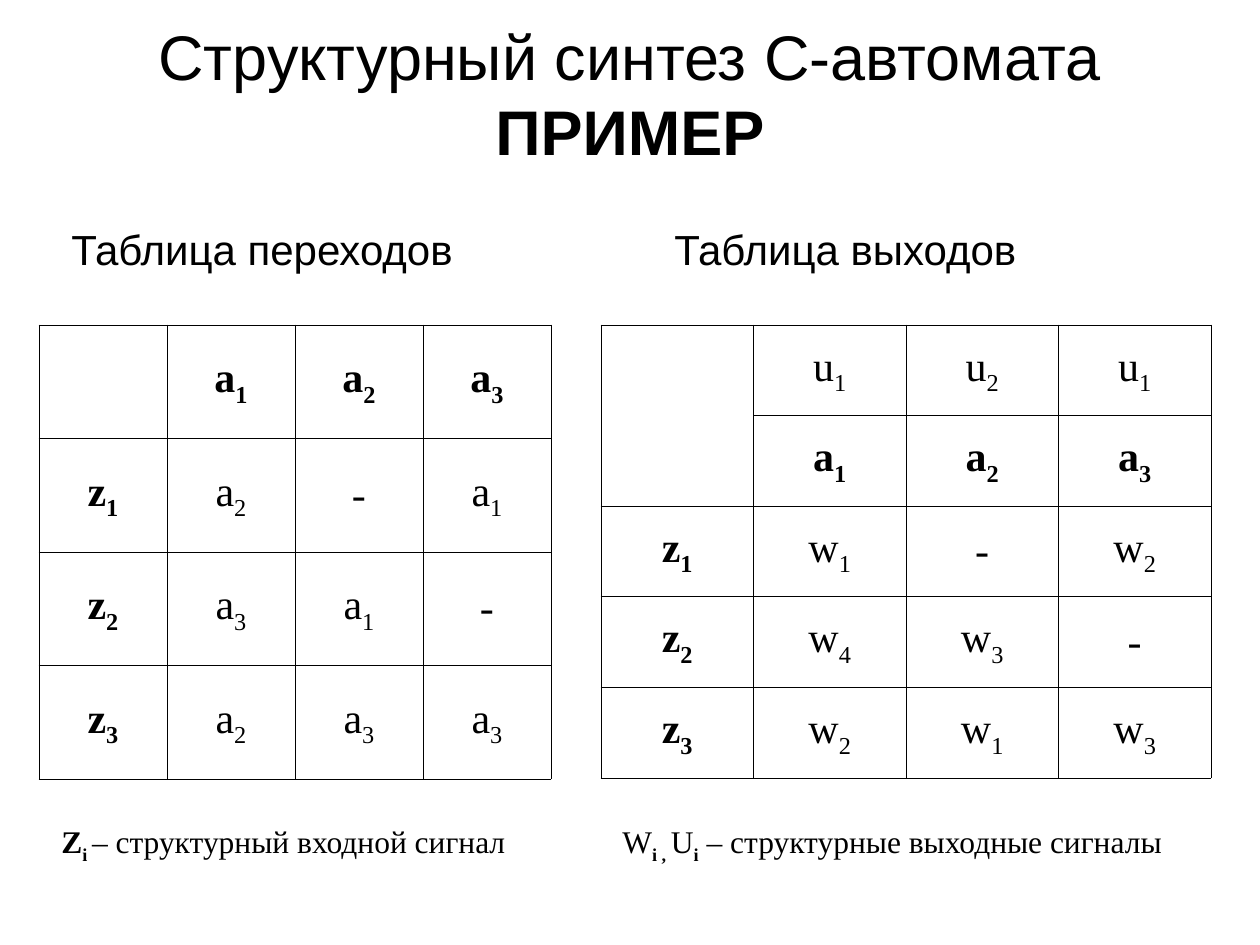
from lxml import etree
from pptx import Presentation
from pptx.dml.color import RGBColor
from pptx.enum.text import MSO_ANCHOR, MSO_AUTO_SIZE, PP_ALIGN
from pptx.oxml.ns import qn
from pptx.util import Emu, Pt

CENTER = PP_ALIGN.CENTER
MIDDLE = MSO_ANCHOR.MIDDLE
NO_FIT = MSO_AUTO_SIZE.NONE
GROW = MSO_AUTO_SIZE.SHAPE_TO_FIT_TEXT
PX_PER_INCH = 126
COLORS = {"text": "000000", "border": "000000"}
SANS, SERIF = "Arial", "Times New Roman"
SUBSCRIPT = "-25000"


def px(length):
    return Emu(round(length * 914400 / PX_PER_INCH))


class SlideWriter:
    def __init__(self, page):
        self.page = page

    def span(self, para, text, size, font, bold=False, sub=False):
        span = para.add_run()
        span.text = text
        span.font.size = Pt(size)
        span.font.name = font
        span.font.bold = bold
        span.font.color.rgb = RGBColor.from_string(COLORS["text"])
        if sub:
            span._r.get_or_add_rPr().set("baseline", SUBSCRIPT)

    def title(self, left, top, width, height, first, second):
        box = self.page.shapes.title
        box.left, box.top, box.width, box.height = map(px, (left, top, width, height))
        frame = box.text_frame
        frame.auto_size = NO_FIT
        frame.vertical_anchor = MIDDLE
        para = frame.paragraphs[0]
        para.alignment = CENTER
        self.span(para, first, 36, SANS)
        para.add_line_break()
        self.span(para, second, 36, SANS, bold=True)

    def text(self, left, top, width, height, size, font, spans, tab=None, fit=NO_FIT):
        box = self.page.shapes.add_textbox(*map(px, (left, top, width, height)))
        frame = box.text_frame
        frame.word_wrap = True
        frame.auto_size = fit
        para = frame.paragraphs[0]
        if tab:
            stops = etree.SubElement(para._p.get_or_add_pPr(), qn("a:tabLst"))
            etree.SubElement(stops, qn("a:tab"), pos=str(px(tab)), algn="l")
        for text, bold, sub in spans:
            self.span(para, text, size, font, bold, sub)

    def border(self, cell):
        properties = cell._tc.get_or_add_tcPr()
        for side in ("lnL", "lnR", "lnT", "lnB"):
            line = etree.SubElement(properties, qn("a:" + side), w=str(Pt(0.45)))
            fill = etree.SubElement(line, qn("a:solidFill"))
            etree.SubElement(fill, qn("a:srgbClr"), val=COLORS["border"])

    def table(self, left, top, width, height, rows, state_row, side_margin):
        """Rows hold symbols such as a1: a letter and its index."""
        frame = self.page.shapes.add_table(
            len(rows), len(rows[0]), *map(px, (left, top, width, height)))
        table = frame.table
        table.first_row = table.horz_banding = False
        for column in table.columns:
            column.width = px(width / len(rows[0]))
        for row in table.rows:
            row.height = px(height / len(rows))
        for r, symbols in enumerate(rows):
            for c, symbol in enumerate(symbols):
                cell = table.cell(r, c)
                self.border(cell)
                cell.fill.background()
                cell.vertical_anchor = MIDDLE
                cell.margin_left = cell.margin_right = px(side_margin)
                cell.margin_top = cell.margin_bottom = px(6)
                para = cell.text_frame.paragraphs[0]
                para.alignment = CENTER
                bold = r == state_row or c == 0
                if symbol:
                    self.span(para, symbol[0], 24, SERIF, bold)
                if symbol[1:]:
                    self.span(para, symbol[1:], 24, SERIF, bold, sub=True)
        if state_row:
            table.cell(0, 0).merge(table.cell(state_row, 0))


TRANSITIONS = [
    ["", "a1", "a2", "a3"],
    ["z1", "a2", "-", "a1"],
    ["z2", "a3", "a1", "-"],
    ["z3", "a2", "a3", "a3"],
]
OUTPUTS = [
    ["", "u1", "u2", "u1"],
    ["", "a1", "a2", "a3"],
    ["z1", "w1", "-", "w2"],
    ["z2", "w4", "w3", "-"],
    ["z3", "w2", "w1", "w3"],
]


def main():
    deck = Presentation()
    deck.slide_width, deck.slide_height = px(1260), px(945)
    writer = SlideWriter(deck.slides.add_slide(deck.slide_layouts[5]))

    # Title
    writer.title(63, 38, 1134, 110, "Структурный синтез С-автомата", "ПРИМЕР")

    # Transition and output tables
    writer.table(39, 325, 512, 454, TRANSITIONS, state_row=0, side_margin=6)
    writer.table(601, 325, 610, 453, OUTPUTS, state_row=1, side_margin=10)

    # Table headings, the second one set at a tab stop
    writer.text(59, 217, 1134, 69, 24, SANS,
                [("Таблица переходов\tТаблица выходов", False, False)], tab=603)

    # Signal legends
    writer.text(49, 816, 493, 55, 18, SERIF, [
        ("Z", True, False),
        ("i ", True, True),
        ("– структурный входной сигнал", False, False),
    ], fit=GROW)
    writer.text(610, 816, 601, 55, 18, SERIF, [
        ("W", False, False),
        ("i , ", True, True),
        ("U", False, False),
        ("i", True, True),
        (" – структурные выходные сигналы", False, False),
    ], fit=GROW)

    deck.save("out.pptx")


if __name__ == "__main__":
    main()
